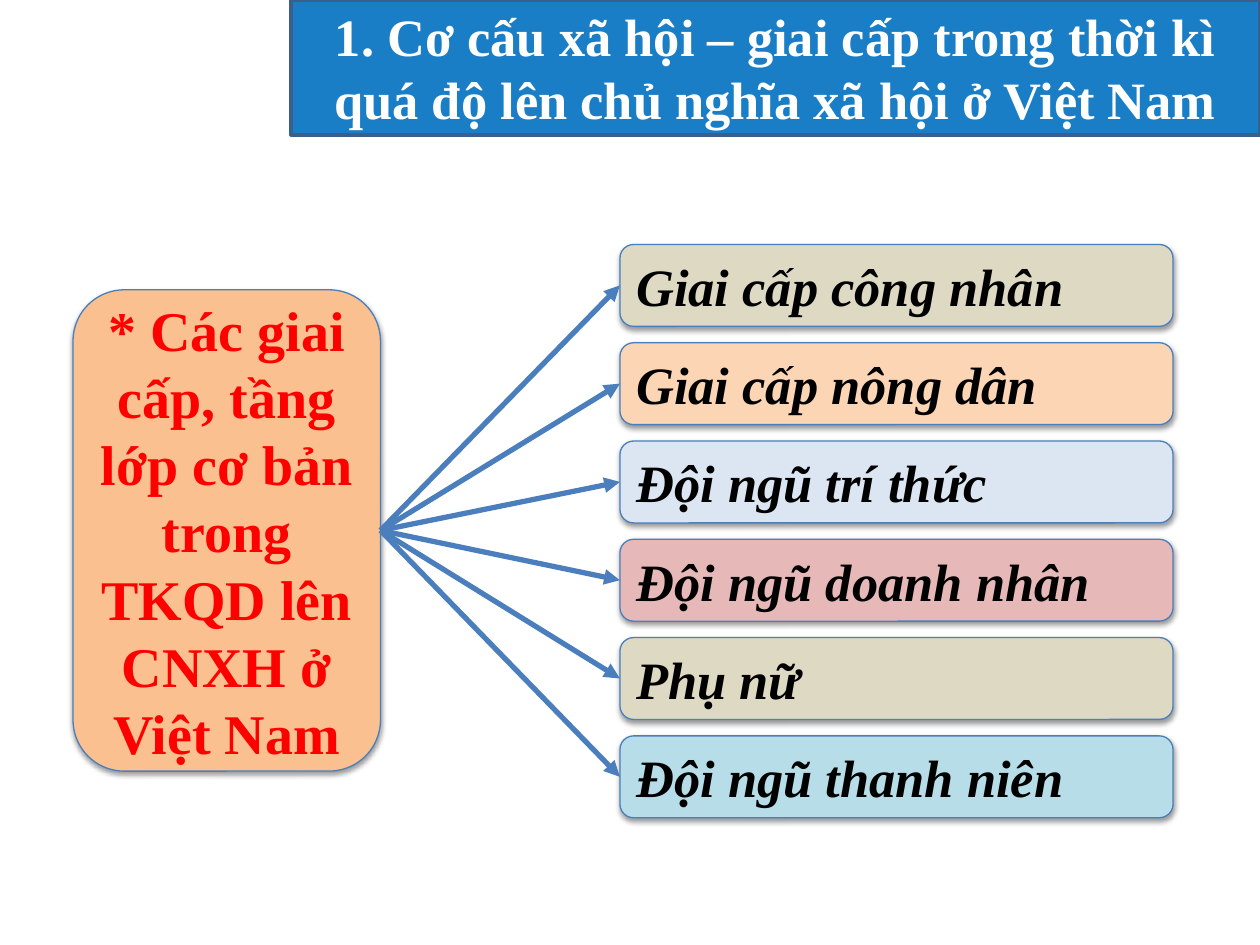
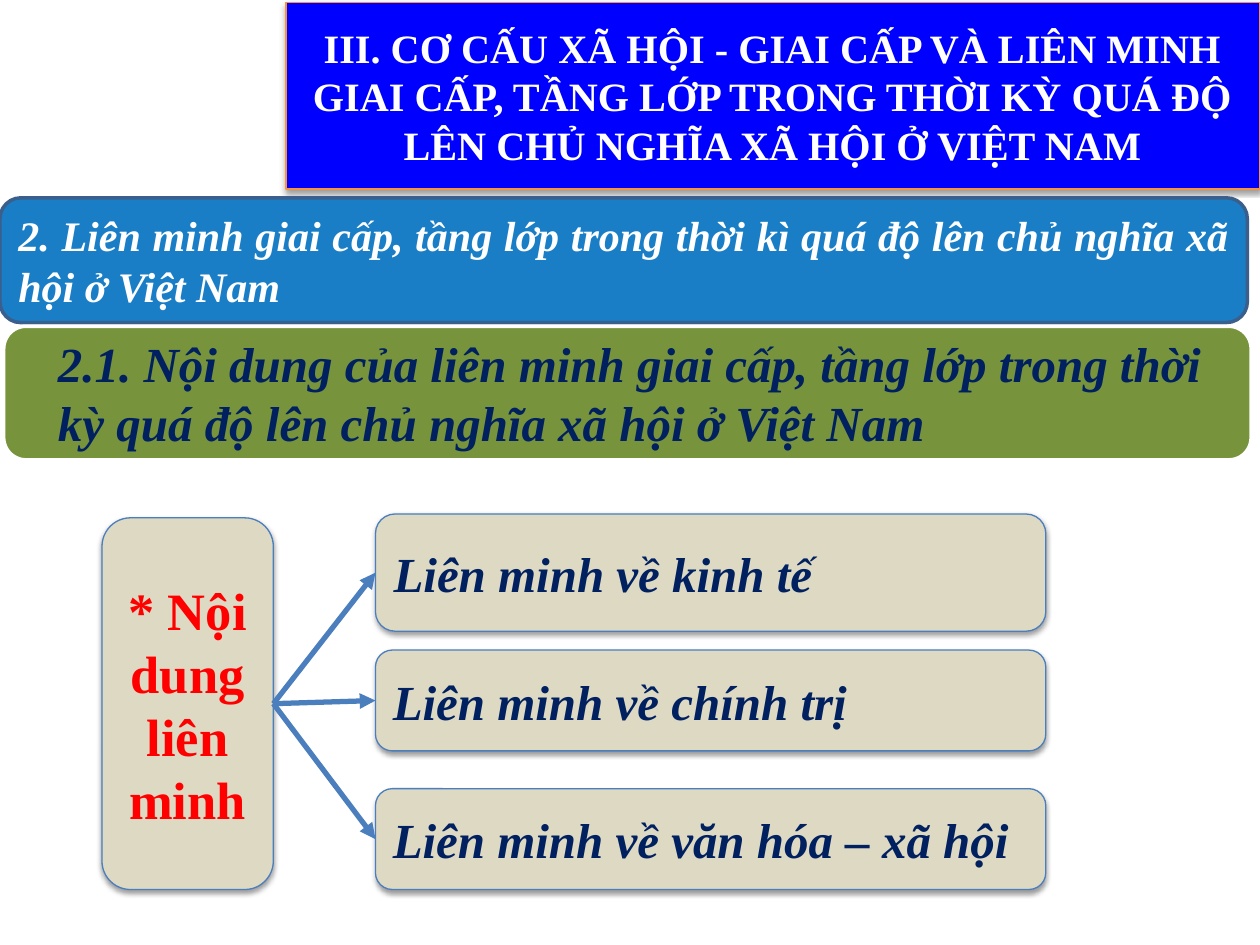
import lxml.etree
import pptx
import pptx.dml.color
import pptx.enum.shapes
import pptx.enum.text
import pptx.oxml.ns
import pptx.util

Inches = pptx.util.Inches
Pt = pptx.util.Pt
RGBColor = pptx.dml.color.RGBColor
qn = pptx.oxml.ns.qn
ALIGN = pptx.enum.text.PP_ALIGN
ROUNDED = pptx.enum.shapes.MSO_SHAPE.ROUNDED_RECTANGLE
STRAIGHT = pptx.enum.shapes.MSO_CONNECTOR.STRAIGHT

WHITE = RGBColor(0xFF, 0xFF, 0xFF)
BLACK = RGBColor(0, 0, 0)
RED = RGBColor(0xFF, 0, 0)
NAVY = RGBColor(0x00, 0x20, 0x60)
BLUE = RGBColor(0, 0, 0xFF)
BANNER_BLUE = RGBColor(0x00, 0x70, 0xC0)
BANNER_EDGE = RGBColor(0x3A, 0x5F, 0x8C)
EDGE = RGBColor(0x4B, 0x7E, 0xBC)
ORANGE_EDGE = RGBColor(0xF6, 0x92, 0x40)
GREEN = RGBColor(0x77, 0x93, 0x3C)
TAN = RGBColor(0xDD, 0xD9, 0xC3)
ORANGE = RGBColor(0xFA, 0xC0, 0x90)
PEACH = RGBColor(0xFC, 0xD5, 0xB5)
PALE_BLUE = RGBColor(0xDC, 0xE6, 0xF2)
PINK = RGBColor(0xE6, 0xB9, 0xB8)
AQUA = RGBColor(0xB7, 0xDE, 0xE8)

# Looks shared by the boxes: fill, edge, edge width, shadow, opacity
BANNER = dict(fill=BANNER_BLUE, edge=BANNER_EDGE, width=2, opacity=90)
CHAPTER = dict(fill=BLUE, edge=ORANGE_EDGE, shadow=True)
SECTION = dict(fill=GREEN, edge=WHITE, width=2)

CLASS_TITLE = "1. Cơ cấu xã hội – giai cấp trong thời kì quá độ lên chủ nghĩa xã hội ở Việt Nam"
CLASS_HUB = "* Các giai cấp, tầng lớp cơ bản trong TKQD lên CNXH ở Việt Nam"
CLASSES = [
    ("Giai cấp công nhân", TAN),
    ("Giai cấp nông dân", PEACH),
    ("Đội ngũ trí thức", PALE_BLUE),
    ("Đội ngũ doanh nhân", PINK),
    ("Phụ nữ", TAN),
    ("Đội ngũ thanh niên", AQUA),
]
CLASS_TOP, CLASS_PITCH, CLASS_HEIGHT = 1.94, 0.78, 0.65

CHAPTER_TITLE = ("III. CƠ CẤU XÃ HỘI - GIAI CẤP VÀ LIÊN MINH GIAI CẤP, TẦNG LỚP "
                 "TRONG THỜI KỲ QUÁ ĐỘ LÊN CHỦ NGHĨA XÃ HỘI Ở VIỆT NAM")
ALLIANCE_BANNER = ("2. Liên minh giai cấp, tầng lớp trong thời kì quá độ lên "
                   "chủ nghĩa xã hội ở Việt Nam")
ALLIANCE_SECTION = ("2.1. Nội dung của liên minh giai cấp, tầng lớp trong thời kỳ quá độ "
                    "lên chủ nghĩa xã hội ở Việt Nam")
ALLIANCE_HUB = "* Nội dung liên minh"
ALLIANCES = [  # text, top, height
    ("Liên minh về kinh tế", 4.08, 0.93),
    ("Liên minh về chính trị", 5.16, 0.8),
    ("Liên minh về văn hóa – xã hội", 6.26, 0.8),
]


def add_element(parent, tag, **attributes):
    values = {name: str(value) for name, value in attributes.items()}
    return lxml.etree.SubElement(parent, qn(tag), values)


def paint(box, fill, edge=EDGE, width=0.75, shadow=False, opacity=100):
    box.fill.solid()
    box.fill.fore_color.rgb = fill
    box.line.color.rgb = edge
    box.line.width = Pt(width)
    properties = box.element.spPr
    if opacity < 100:
        color = properties.find(qn("a:solidFill")).find(qn("a:srgbClr"))
        add_element(color, "a:alpha", val=opacity * 1000)
    effects = add_element(properties, "a:effectLst")
    if shadow:
        outer = add_element(effects, "a:outerShdw", blurRad=Pt(3.1), dist=Pt(1.6),
                            dir=90 * 60000, rotWithShape=0)
        color = add_element(outer, "a:srgbClr", val="000000")
        add_element(color, "a:alpha", val=38000)


def write(box, text, size, color, align, italic=False):
    frame = box.text_frame
    frame.word_wrap = True
    frame.auto_size = pptx.enum.text.MSO_AUTO_SIZE.NONE
    frame.vertical_anchor = pptx.enum.text.MSO_ANCHOR.MIDDLE
    para = frame.paragraphs[0]
    para.alignment = align
    span = para.add_run()
    span.text = text
    look = dict(name="Times New Roman", size=Pt(size), bold=True, italic=italic)
    for name, value in look.items():
        setattr(span.font, name, value)
    span.font.color.rgb = color


def add_box(page, place, look):
    box = page.shapes.add_shape(ROUNDED, *map(Inches, place))
    paint(box, **look)
    return box


def add_titled_page(deck, title, place, size, look):
    """Add a page whose title placeholder is a filled rounded rectangle."""
    page = deck.slides.add_slide(deck.slide_layouts[5])
    box = page.shapes.title
    box.left, box.top, box.width, box.height = map(Inches, place)
    geometry = add_element(box.element.spPr, "a:prstGeom", prst="roundRect")
    add_element(geometry, "a:avLst")
    paint(box, **look)
    write(box, title, size, WHITE, ALIGN.CENTER)
    return page


def add_arrow(page, hub, branch):
    arrow = page.shapes.add_connector(STRAIGHT, 0, 0, 0, 0)
    arrow.begin_connect(hub, 3)
    arrow.end_connect(branch, 1)
    arrow.line.color.rgb = EDGE
    arrow.line.width = Pt(3)
    add_element(arrow.line._get_or_add_ln(), "a:tailEnd", type="triangle")
    add_element(arrow.element.spPr, "a:effectLst")


def add_branches(page, hub, branches, left, width, size, color):
    """Add one box per (text, fill, top, height), each with an arrow from the hub."""
    for text, fill, top, height in branches:
        branch = add_box(page, (left, top, width, height), dict(fill=fill, shadow=True))
        write(branch, text, size, color, ALIGN.JUSTIFY, italic=True)
        add_arrow(page, hub, branch)


def add_hub(page, text, place, size, fill):
    hub = add_box(page, place, dict(fill=fill, shadow=True))
    write(hub, text, size, RED, ALIGN.CENTER)
    return hub


def build_classes(deck):
    page = add_titled_page(deck, CLASS_TITLE, (2.31, 0, 7.69, 1.07), 30, BANNER)
    hub = add_hub(page, CLASS_HUB, (0.58, 2.3, 2.44, 3.82), 32, ORANGE)
    branches = [(text, fill, CLASS_TOP + index * CLASS_PITCH, CLASS_HEIGHT)
                for index, (text, fill) in enumerate(CLASSES)]
    add_branches(page, hub, branches, 4.92, 4.39, 30, BLACK)


def build_alliances(deck):
    page = add_titled_page(deck, CHAPTER_TITLE, (2.27, 0.02, 7.73, 1.48), 23, CHAPTER)
    banner = add_box(page, (0, 1.57, 9.9, 0.99), BANNER)
    write(banner, ALLIANCE_BANNER, 24, WHITE, ALIGN.JUSTIFY, italic=True)

    add_box(page, (0.03, 2.59, 9.9, 1.06), SECTION)
    label = page.shapes.add_textbox(*map(Inches, (0.22, 2.64, 9.78, 0.95)))
    margins = dict(margin_left=0.24, margin_top=0, margin_right=0.24, margin_bottom=0)
    for name, value in margins.items():
        setattr(label.text_frame, name, Inches(value))
    write(label, ALLIANCE_SECTION, 28, NAVY, ALIGN.LEFT, italic=True)

    hub = add_hub(page, ALLIANCE_HUB, (0.81, 4.11, 1.36, 2.95), 30, TAN)
    branches = [(text, TAN, top, height) for text, top, height in ALLIANCES]
    add_branches(page, hub, branches, 2.98, 5.32, 28, NAVY)


def main():
    deck = pptx.Presentation()
    deck.slide_width, deck.slide_height = Inches(10), Inches(7.5)
    build_classes(deck)
    build_alliances(deck)
    deck.save("out.pptx")


if __name__ == "__main__":
    main()
